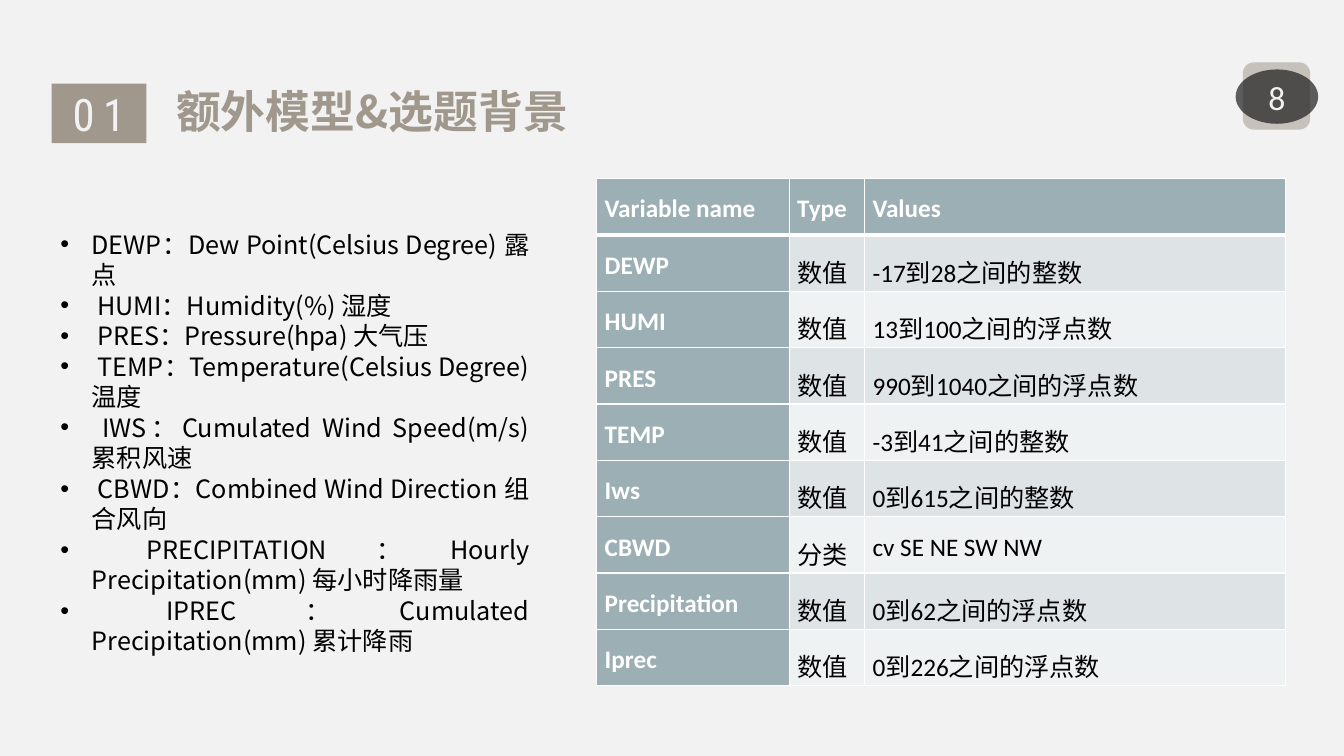
import pptx
import pptx.util
import pptx.dml.color
import pptx.enum.shapes
import pptx.enum.text
import pptx.oxml
import pptx.oxml.ns
import lxml.etree

Cm, Pt = pptx.util.Cm, pptx.util.Pt
Kind = pptx.enum.shapes.MSO_SHAPE
Align = pptx.enum.text.PP_ALIGN
Anchor = pptx.enum.text.MSO_ANCHOR
qn = pptx.oxml.ns.qn

# Content
number, title, page = "01", "额外模型&选题背景", "8"
terms = [
    "DEWP：Dew Point(Celsius Degree) 露点",
    " HUMI：Humidity(%) 湿度",
    " PRES：Pressure(hpa) 大气压",
    " TEMP：Temperature(Celsius Degree) 温度",
    " IWS：Cumulated Wind Speed(m/s) 累积风速",
    " CBWD：Combined Wind Direction 组合风向",
    " PRECIPITATION：Hourly Precipitation(mm) 每小时降雨量",
    " IPREC：Cumulated Precipitation(mm) 累计降雨",
]
rows = [
    ("Variable name", "Type", "Values"),
    ("DEWP", "数值", "-17到28之间的整数"),
    ("HUMI", "数值", "13到100之间的浮点数"),
    ("PRES", "数值", "990到1040之间的浮点数"),
    ("TEMP", "数值", "-3到41之间的整数"),
    ("Iws", "数值", "0到615之间的整数"),
    ("CBWD", "分类", "cv SE NE SW NW"),
    ("Precipitation", "数值", "0到62之间的浮点数"),
    ("Iprec", "数值", "0到226之间的浮点数"),
]
widths, height = (4.85, 1.9, 10.6), 1.42

theme = {
    "back": "F2F2F2", "taupe": "A0988C", "pale": "C6C1BA", "dark": "1D1D1D",
    "ink": "000000", "white": "FFFFFF", "head": "9BAFB5", "bands": ("EFF2F3", "DEE3E5"),
    "cjk": "Noto Sans CJK SC", "latin": "Calibri", "digit": "Roboto Condensed",
    "big": 32, "mid": 24, "body": 18,
}


def color(code):
    return pptx.dml.color.RGBColor.from_string(code)


def paint(fill, code):
    fill.solid()
    fill.fore_color.rgb = color(code)


def write(frame, lines, size, ink, font, bold=False, align=None, space=None,
          gap=None, bullet=False):
    frame.word_wrap = True
    for i, line in enumerate(lines):
        para = frame.add_paragraph() if i else frame.paragraphs[0]
        para.alignment, para.line_spacing = align, space
        if bullet:
            para.level = 1
            props = para._p.get_or_add_pPr()
            props.set("marL", str(Cm(2.06)))
            props.set("indent", str(Cm(-0.79)))
            face = lxml.etree.SubElement(props, qn("a:buFont"))
            face.set("typeface", "Arial")
            lxml.etree.SubElement(props, qn("a:buChar")).set("char", "•")
        run = para.add_run()
        run.text = line
        run.font.size, run.font.bold, run.font.name = Pt(size), bold, font
        run.font.color.rgb = color(ink)
        props = run._r.get_or_add_rPr()
        east = lxml.etree.SubElement(props, qn("a:ea"))
        east.set("typeface", theme["cjk"])
        if gap:
            props.set("spc", str(gap * 100))


def shape(kind, box, code):
    item = slide.shapes.add_shape(kind, *map(Cm, box))
    item.shadow.inherit = False
    paint(item.fill, code)
    item.line.fill.background()
    item.text_frame.vertical_anchor = Anchor.MIDDLE
    return item


def text(box, lines, **style):
    write(slide.shapes.add_textbox(*map(Cm, box)).text_frame, lines, **style)


def border(cell, side, width):
    line = lxml.etree.Element(qn("a:ln" + side), w=str(Pt(width)))
    fill = lxml.etree.SubElement(line, qn("a:solidFill"))
    lxml.etree.SubElement(fill, qn("a:srgbClr")).set("val", theme["white"])
    return line


deck = pptx.Presentation()
deck.slide_width, deck.slide_height = Cm(33.87), Cm(19.05)
slide = deck.slides.add_slide(deck.slide_layouts[6])
paint(slide.background.fill, theme["back"])

# Heading
chip = shape(Kind.RECTANGLE, (1.3, 2.11, 2.39, 1.5), theme["taupe"])
write(chip.text_frame, [number], size=theme["big"], ink=theme["back"],
      font=theme["digit"], align=Align.CENTER, gap=6)
text((4.19, 1.98, 11.33, 1.68), [title], size=theme["big"], ink=theme["taupe"],
     font=theme["cjk"], bold=True)

# Page badge
shape(Kind.ROUNDED_RECTANGLE, (31.32, 1.57, 1.7, 1.7), theme["pale"])
badge = shape(Kind.OVAL, (31.14, 1.75, 2.08, 1.37), theme["dark"])
tint = badge._element.spPr.find(qn("a:solidFill"))[0]
lxml.etree.SubElement(tint, qn("a:alpha")).set("val", "70000")
badge.text_frame.margin_left = badge.text_frame.margin_right = Cm(0.05)
write(badge.text_frame, [page], size=theme["mid"], ink=theme["back"],
      font=theme["latin"], align=Align.CENTER)

# List of terms
text((0, 5.64, 13.59, 11.02), terms, size=theme["body"], ink=theme["ink"],
     font=theme["cjk"], align=Align.JUSTIFY, space=Pt(21.8), bullet=True)

# Table of variables
table = slide.shapes.add_table(len(rows), len(widths), Cm(15.04), Cm(4.5),
                               Cm(sum(widths)), Cm(height * len(rows))).table
for col, width in zip(table.columns, widths):
    col.width = Cm(width)
for r, row in enumerate(rows):
    table.rows[r].height = Cm(height)
    for c, word in enumerate(row):
        cell = table.cell(r, c)
        head = r == 0 or c == 0
        cell.margin_left = cell.margin_right = Cm(0.2)
        cell.margin_top = cell.margin_bottom = 0
        write(cell.text_frame, [word], size=theme["body"], font=theme["latin"],
              ink=theme["white" if head else "ink"], bold=head, space=1.5)
        props = cell._tc.get_or_add_tcPr()
        for side in "LRTB":
            thick = (r, side) in ((0, "B"), (1, "T"))
            props.append(border(cell, side, 3 if thick else 1))
        paint(cell.fill, theme["head"] if head else theme["bands"][r % 2])

deck.save("out.pptx")
